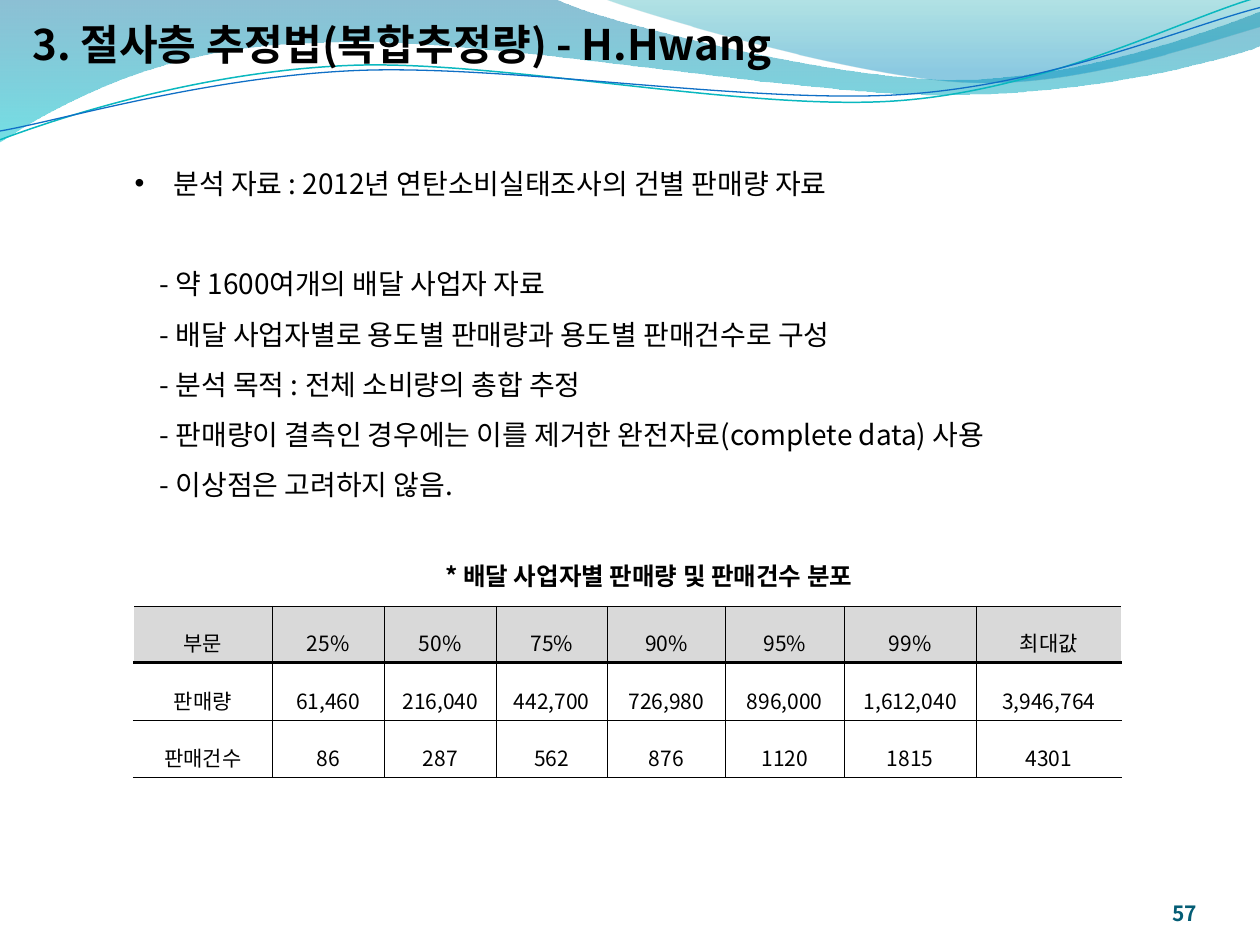
from lxml.etree import SubElement
from pptx import Presentation
from pptx.dml.color import RGBColor
from pptx.enum.text import MSO_ANCHOR, PP_ALIGN
from pptx.oxml.ns import qn
from pptx.util import Inches, Pt

FONT = "Noto Sans CJK KR"
TITLE = "3. 절사층 추정법(복합추정량) - H.Hwang"
TOPIC = "분석 자료 : 2012년 연탄소비실태조사의 건별 판매량 자료"
DETAILS = [
    "- 약 1600여개의 배달 사업자 자료",
    "- 배달 사업자별로 용도별 판매량과 용도별 판매건수로 구성",
    "- 분석 목적 : 전체 소비량의 총합 추정",
    "- 판매량이 결측인 경우에는 이를 제거한 완전자료(complete data) 사용",
    "- 이상점은 고려하지 않음.",
]
CAPTION = "* 배달 사업자별 판매량 및 판매건수 분포"
PAGE_NUMBER = "57"
ROWS = [
    ["부문", "25%", "50%", "75%", "90%", "95%", "99%", "최대값"],
    ["판매량", "61,460", "216,040", "442,700", "726,980", "896,000", "1,612,040", "3,946,764"],
    ["판매건수", "86", "287", "562", "876", "1120", "1815", "4301"],
]
COLUMN_WIDTHS = [1.1, 0.89, 0.89, 0.88, 0.94, 0.94, 1.05, 1.15]
ROW_HEIGHTS = [0.45, 0.46, 0.45]
THIN, THICK = 0.28, 1.98

BANDS = [
    ([[(0, -0.01)], [(4.4, -0.01)],
      [(4.76, 0.17), (6.64, 0.63), (7.58, 0.63)], [(8.53, 0.63), (9.58, 0.26), (10, 0.09)],
      [(10.01, 0.36)],
      [(9.83, 0.44), (8.7, 0.76), (7.46, 0.75)], [(6.22, 0.75), (3.82, 0.28), (2.57, 0.34)],
      [(1.29, 0.35), (0.46, 0.83), (-0.01, 1.13)]],
     [(0, "0074A1", 45), (1, "00C6CF", 55)]),
    ([[(4.79, -0.01)],
      [(5.09, 0.11), (6.82, 0.62), (7.69, 0.65)], [(8.56, 0.69), (9.61, 0.32), (10, 0.21)],
      [(10, 0)]],
     [(0, "00A1A9", 30), (0.8, "008BBF", 45)]),
]
WAVES = [
    ([[(0, 1.11)],
      [(0.48, 0.93), (1.58, 0.57), (2.77, 0.52)], [(3.95, 0.47), (5.93, 0.89), (7.13, 0.8)],
      [(8.33, 0.71), (9.38, 0.15), (9.98, -0.02)]], "0AB8BF", 0.85),
    ([[(0, 1.04)],
      [(0.47, 0.96), (1.64, 0.61), (2.83, 0.56)], [(4.03, 0.51), (5.97, 0.83), (7.17, 0.75)],
      [(8.36, 0.67), (9.41, 0.21), (10, 0.06)]], "0F6FC6", 0.75),
]


def color(value):
    return RGBColor.from_string(value)


def add_curve(page, segments, closed):
    points = [(Inches(x), Inches(y)) for segment in segments for x, y in segment]
    builder = page.shapes.build_freeform(*points[0], scale=1.0)
    builder.add_line_segments(points[1:], close=closed)
    shape = builder.convert_to_shape()
    shape.shadow.inherit = False
    lines = iter(list(shape._element.iter(qn("a:lnTo"))))
    for segment in segments[1:]:
        group = [next(lines) for _ in segment]
        if len(group) == 3:
            curve = group[0].makeelement(qn("a:cubicBezTo"))
            group[0].addprevious(curve)
            for line in group:
                curve.append(line[0])
                line.getparent().remove(line)
    return shape


def add_band(page, segments, stops):
    shape = add_curve(page, segments, True)
    shape.line.fill.background()
    shape.fill.gradient()
    shape.fill.gradient_angle = 270
    for stop, (position, value, _) in zip(shape.fill.gradient_stops, stops):
        stop.position = position
        stop.color.rgb = color(value)
    for element, (_, _, opacity) in zip(shape._element.spPr.iter(qn("a:srgbClr")), stops):
        SubElement(element, qn("a:alpha"), val=str(opacity * 1000))


def add_wave(page, segments, value, width):
    shape = add_curve(page, segments, False)
    shape.fill.background()
    shape.line.color.rgb = color(value)
    shape.line.width = Pt(width)


def style(para, size, bold=False, value="000000", align=PP_ALIGN.LEFT, spacing=None):
    para.alignment = align
    para.line_spacing = spacing
    for span in para.runs:
        span.font.size, span.font.bold, span.font.name = Pt(size), bold, FONT
        span.font.color.rgb = color(value)
        span.font._element.set("kern", "0")
        SubElement(span.font._element, qn("a:ea"), typeface=FONT)


def place(box, left, top, width, height):
    box.left, box.top, box.width, box.height = map(Inches, (left, top, width, height))


def add_title(page):
    title = page.shapes.title
    place(title, 0.16, 0, 6.7, 0.7)
    frame = title.text_frame
    frame.text = TITLE
    frame.word_wrap = True
    frame.vertical_anchor = MSO_ANCHOR.MIDDLE
    style(frame.paragraphs[0], 24, bold=True)
    page.shapes._spTree.append(title._element)


def add_body(page):
    frame = page.shapes.add_textbox(*map(Inches, (0.97, 1.14, 8.36, 3.64))).text_frame
    frame.word_wrap = True
    frame.text = "\n".join([TOPIC, *DETAILS, CAPTION])
    topic, *details, caption = frame.paragraphs
    properties = topic._p.get_or_add_pPr()
    properties.set("marL", str(Inches(0.31)))
    properties.set("indent", str(-Inches(0.31)))
    SubElement(properties, qn("a:buFont"), typeface="Arial")
    SubElement(properties, qn("a:buChar"), char="•")
    for para in details:
        para._p.get_or_add_pPr().set("marL", str(Inches(0.2)))
    for para in [topic, *details]:
        style(para, 16, spacing=Pt(28.7))
    details[0].space_before = Pt(28.7)
    style(caption, 14, bold=True, align=PP_ALIGN.CENTER, spacing=Pt(25.2))
    caption.space_before = Pt(25.5)


def add_border(cell, side, width):
    line = SubElement(cell._tc.get_or_add_tcPr(), qn(f"a:ln{side}"), w=str(Pt(width)))
    fill = SubElement(line, qn("a:solidFill"))
    SubElement(fill, qn("a:srgbClr"), val="000000")


def add_distribution(page):
    size = map(Inches, (1.06, 4.81, sum(COLUMN_WIDTHS), sum(ROW_HEIGHTS)))
    table = page.shapes.add_table(len(ROWS), len(COLUMN_WIDTHS), *size).table
    table.first_row = table.horz_banding = False
    for column, width in zip(table.columns, COLUMN_WIDTHS):
        column.width = Inches(width)
    for row, height in zip(table.rows, ROW_HEIGHTS):
        row.height = Inches(height)
    for r, values in enumerate(ROWS):
        for c, value in enumerate(values):
            cell = table.cell(r, c)
            cell.text = value
            cell.vertical_anchor = MSO_ANCHOR.MIDDLE
            cell.margin_left = cell.margin_right = Inches(0.07)
            cell.margin_top = cell.margin_bottom = Inches(0.02)
            style(cell.text_frame.paragraphs[0], 12, align=PP_ALIGN.CENTER, spacing=Pt(27))
            if c > 0:
                add_border(cell, "L", THIN)
            if c < len(values) - 1:
                add_border(cell, "R", THIN)
            add_border(cell, "T", THICK if r == 1 else THIN)
            add_border(cell, "B", THICK if r == 0 else THIN)
            if r == 0:
                cell.fill.solid()
                cell.fill.fore_color.rgb = color("D9D9D9")
            else:
                cell.fill.background()


def add_page_number(page):
    frame = page.shapes.add_textbox(*map(Inches, (8.67, 6.95, 0.83, 0.4))).text_frame
    frame.margin_left = frame.margin_right = frame.margin_top = frame.margin_bottom = 0
    frame.word_wrap = True
    frame.vertical_anchor = MSO_ANCHOR.BOTTOM
    frame.text = PAGE_NUMBER
    style(frame.paragraphs[0], 12, bold=True, value="045D75", align=PP_ALIGN.RIGHT)


def main():
    deck = Presentation()
    deck.slide_width, deck.slide_height = Inches(10), Inches(7.5)
    page = deck.slides.add_slide(deck.slide_layouts[5])
    for band in BANDS:
        add_band(page, *band)
    for wave in WAVES:
        add_wave(page, *wave)
    add_page_number(page)
    add_distribution(page)
    add_title(page)
    add_body(page)
    deck.save("out.pptx")


if __name__ == "__main__":
    main()
